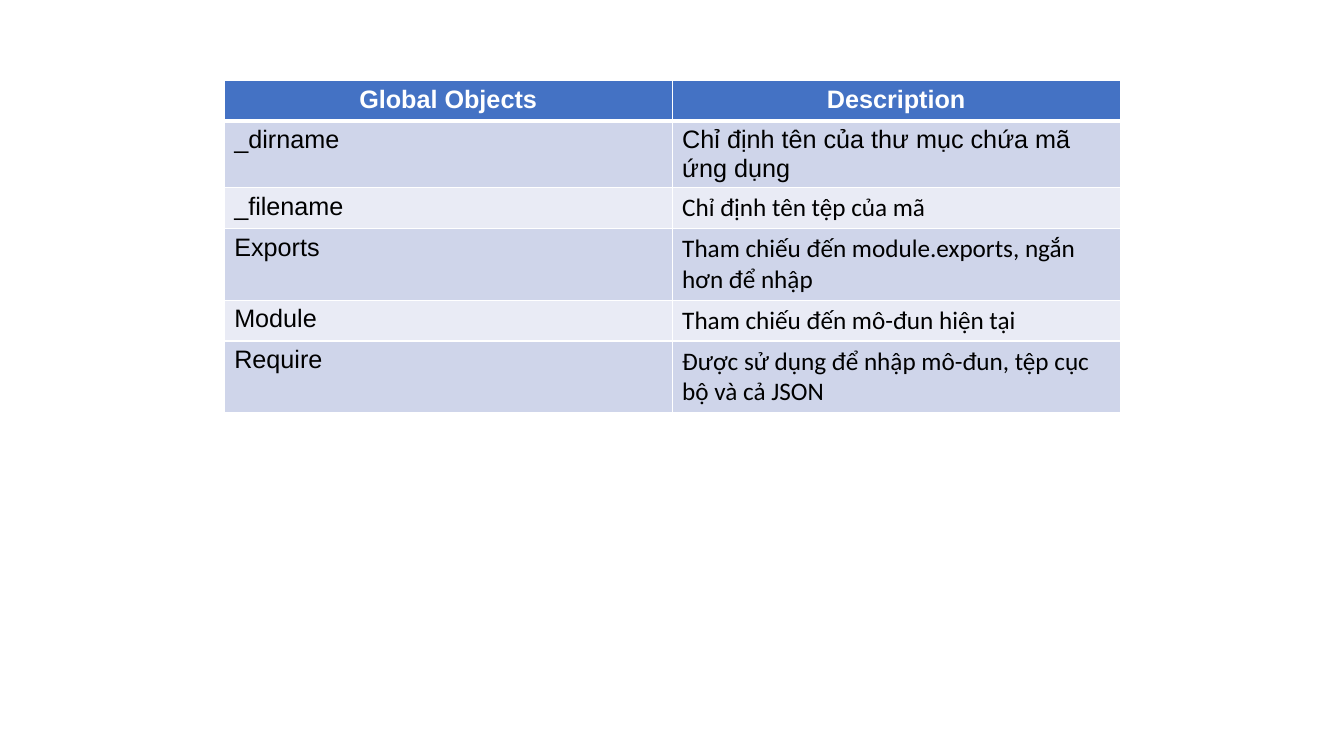
from dataclasses import dataclass

from lxml.etree import SubElement
from pptx import Presentation
from pptx.dml.color import RGBColor as Rgb
from pptx.enum.text import PP_ALIGN as Align
from pptx.oxml.ns import qn
from pptx.util import Cm, Pt


@dataclass(frozen=True)
class Theme:
    header_fill: str = "4472C4"
    bands: tuple[str, str] = ("CFD5EA", "E9EBF5")
    header_text: str = "FFFFFF"
    body_text: str = "000000"
    border: str = "FFFFFF"
    thin: float = 1
    thick: float = 3
    size: float = 18
    heading_font: str = "Arial"
    description_font: str = "Calibri"


@dataclass(frozen=True)
class GlobalObject:
    name: str
    description: str
    description_font: str


THEME = Theme()
HEADINGS = ("Global Objects", "Description")
GLOBAL_OBJECTS = (
    GlobalObject("_dirname", "Chỉ định tên của thư mục chứa mã ứng dụng", THEME.heading_font),
    GlobalObject("_filename", "Chỉ định tên tệp của mã", THEME.description_font),
    GlobalObject("Exports", "Tham chiếu đến module.exports, ngắn hơn để nhập",
                 THEME.description_font),
    GlobalObject("Module", "Tham chiếu đến mô-đun hiện tại", THEME.description_font),
    GlobalObject("Require", "Được sử dụng để nhập mô-đun, tệp cục bộ và cả JSON",
                 THEME.description_font),
)


def draw_borders(cell, top: float, bottom: float) -> None:
    """Outline a cell; the side borders are always thin."""
    properties = cell._tc.get_or_add_tcPr()
    widths = {"a:lnL": THEME.thin, "a:lnR": THEME.thin, "a:lnT": top, "a:lnB": bottom}
    for side, width in widths.items():
        border = SubElement(properties, qn(side), w=str(Pt(width)))
        fill = SubElement(border, qn("a:solidFill"))
        SubElement(fill, qn("a:srgbClr"), val=THEME.border)


def fill_cell(cell, text: str, font_name: str, fill: str, is_header: bool = False) -> None:
    """Write and format the text of one cell and paint its background."""
    cell.fill.solid()
    cell.fill.fore_color.rgb = Rgb.from_string(fill)
    paragraph = cell.text_frame.paragraphs[0]
    paragraph.text = text
    paragraph.alignment = Align.CENTER if is_header else Align.LEFT
    font = paragraph.runs[0].font
    font.name = font_name
    font.size = Pt(THEME.size)
    font.bold = is_header
    font.color.rgb = Rgb.from_string(THEME.header_text if is_header else THEME.body_text)


def add_globals_table(slide) -> None:
    """Add the table of global objects, one object a row."""
    row_count = len(GLOBAL_OBJECTS) + 1
    row_height = Cm(1.03)
    table = slide.shapes.add_table(
        row_count, len(HEADINGS), Cm(5.65), Cm(2.02), Cm(22.58), row_height * row_count
    ).table
    for row in table.rows:
        row.height = row_height

    # Borders, with a heavy rule under the header
    for row_index in range(row_count):
        top = THEME.thick if row_index == 1 else THEME.thin
        bottom = THEME.thick if row_index == 0 else THEME.thin
        for column_index in range(len(HEADINGS)):
            draw_borders(table.cell(row_index, column_index), top, bottom)

    # Header
    for column_index, heading in enumerate(HEADINGS):
        fill_cell(table.cell(0, column_index), heading, THEME.heading_font,
                  THEME.header_fill, is_header=True)

    # Banded rows
    for row_index, entry in enumerate(GLOBAL_OBJECTS, start=1):
        band = THEME.bands[(row_index - 1) % 2]
        fill_cell(table.cell(row_index, 0), entry.name, THEME.heading_font, band)
        fill_cell(table.cell(row_index, 1), entry.description, entry.description_font, band)


def main() -> None:
    presentation = Presentation()
    presentation.slide_width, presentation.slide_height = Cm(33.87), Cm(19.05)
    blank_layout = presentation.slide_layouts[6]
    add_globals_table(presentation.slides.add_slide(blank_layout))
    presentation.save("out.pptx")


if __name__ == "__main__":
    main()
